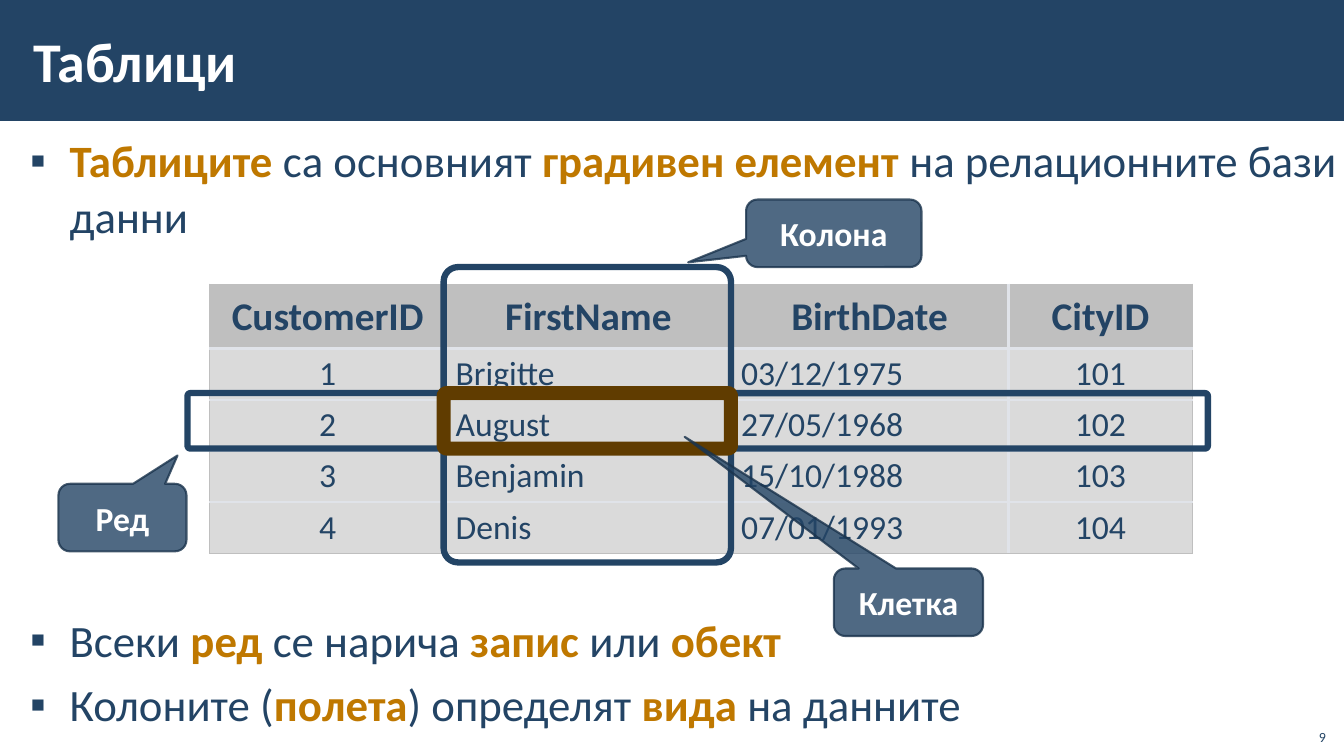
from dataclasses import dataclass

import pptx
import pptx.dml.color
import pptx.enum.shapes
import pptx.enum.text
import pptx.oxml.ns
import pptx.util
from lxml import etree

Inches, Pt = pptx.util.Inches, pptx.util.Pt
MSO_SHAPE = pptx.enum.shapes.MSO_SHAPE
PP_ALIGN = pptx.enum.text.PP_ALIGN
MSO_ANCHOR = pptx.enum.text.MSO_ANCHOR
RGB = pptx.dml.color.RGBColor.from_string
qn = pptx.oxml.ns.qn


@dataclass
class Theme:
    font: str = "Calibri"
    navy: str = "234465"
    accent: str = "BF7800"
    white: str = "FFFFFF"
    head_fill: str = "808080"
    body_fill: str = "464848"
    grid: str = "E0E3E9"
    edge: str = "BFBFBF"
    callout_line: str = "1A334C"
    cell_frame: str = "603C00"
    title: int = 40
    body: int = 32
    table_head: int = 28
    label: int = 24
    number: int = 10


def style(p, size, color, bold=False, align=None):
    p.alignment = align
    for r in p.runs:
        r.font.name, r.font.size, r.font.bold = theme.font, Pt(size), bold
        r.font.color.rgb = RGB(color)


def set_alpha(element, percent):
    for clr in element.findall(".//" + qn("a:srgbClr")):
        etree.SubElement(clr, qn("a:alpha"), val=str(percent * 1000))


theme = Theme()
prs = pptx.Presentation()
prs.slide_width, prs.slide_height = Inches(13.33), Inches(7.5)
s = prs.slides.add_slide(prs.slide_layouts[1])

# Title band, sent behind the placeholders
band = s.shapes.add_shape(MSO_SHAPE.RECTANGLE, 0, 0, prs.slide_width, Inches(1.2))
band.shadow.inherit = False
band.fill.solid()
band.fill.fore_color.rgb = RGB(theme.navy)
band.line.fill.background()
s.shapes.element.insert(2, band.element)

# Title and body placeholders
title, body = s.shapes.title, s.placeholders[1]
for sp, box, anchor in (
    (title, (0.21, 0.11, 11.23, 0.97), MSO_ANCHOR.MIDDLE),
    (body, (0.18, 1.25, 13.92, 6.25), MSO_ANCHOR.TOP),
):
    sp.left, sp.top, sp.width, sp.height = map(Inches, box)
    tf = sp.text_frame
    tf.auto_size = pptx.enum.text.MSO_AUTO_SIZE.NONE
    tf.word_wrap = True
    tf.vertical_anchor = anchor
    tf.margin_left = tf.margin_right = Inches(0.12)
    tf.margin_top = tf.margin_bottom = Inches(0.04)
title.text_frame.text = "Таблици"
style(title.text_frame.paragraphs[0], theme.title, theme.white, True, PP_ALIGN.LEFT)

# Bullets: * marks the highlighted pieces; the second one clears the table
bullets = [
    ("*Таблиците *са основният *градивен елемент *на релационните бази данни", 0, 6),
    ("Всеки *ред *се нарича *запис *или *обект", 255.9, 4),
    ("Колоните (*полета*) определят *вида *на данните", 2, 6),
]
tf = body.text_frame
for i, (text, before, after) in enumerate(bullets):
    p = tf.paragraphs[0] if i == 0 else tf.add_paragraph()
    pPr = p._p.get_or_add_pPr()
    pPr.set("marL", str(Inches(0.39)))
    pPr.set("indent", str(-Inches(0.39)))
    bu_clr = etree.SubElement(pPr, qn("a:buClr"))
    etree.SubElement(bu_clr, qn("a:srgbClr"), val=theme.navy)
    etree.SubElement(pPr, qn("a:buChar"), char="▪")
    p.line_spacing = 1.05
    p.space_before, p.space_after = Pt(before), Pt(after)
    pieces = text.split("*")
    for piece in pieces:
        p.add_run().text = piece
    style(p, theme.body, theme.navy, align=PP_ALIGN.LEFT)
    for r in p.runs[1::2]:
        r.font.bold = True
        r.font.color.rgb = RGB(theme.accent)
    if not pieces[0]:
        p._p.remove(p.runs[0]._r)

# Customer table
rows = [
    ("CustomerID", "FirstName", "BirthDate", "CityID"),
    ("1", "Brigitte", "03/12/1975", "101"),
    ("2", "August", "27/05/1968", "102"),
    ("3", "Benjamin", "15/10/1988", "103"),
    ("4", "Denis", "07/01/1993", "104"),
]
col_widths = (2.34, 2.83, 2.75, 1.83)
last_row, last_col = len(rows) - 1, len(col_widths) - 1
table = s.shapes.add_table(len(rows), len(col_widths), Inches(2.08), Inches(2.82),
                           Inches(9.76), Inches(2.64)).table
table.first_row = table.horz_banding = False
for col, width in zip(table.columns, col_widths):
    col.width = Inches(width)
for i, values in enumerate(rows):
    head = i == 0
    table.rows[i].height = Inches(0.64 if head else 0.5)
    for j, value in enumerate(values):
        cell = table.cell(i, j)
        cell.text = value
        cell.vertical_anchor = MSO_ANCHOR.MIDDLE
        cell.margin_left = cell.margin_right = Inches(0.17 if head else 0.1)
        cell.margin_top = cell.margin_bottom = Inches(0.05)
        p = cell.text_frame.paragraphs[0]
        centred = head or j in (0, last_col)
        style(p, theme.table_head if head else theme.label, theme.navy, head,
              PP_ALIGN.CENTER if centred else PP_ALIGN.LEFT)
        if head:
            p.line_spacing = 0.95
        cell.fill.solid()
        cell.fill.fore_color.rgb = RGB(theme.head_fill if head else theme.body_fill)
        tcPr = cell._tc.get_or_add_tcPr()
        set_alpha(tcPr, 50 if head else 20)
        # Thin outer edge, thicker inner grid
        sides = (("L", j == 0), ("R", j == last_col), ("T", head), ("B", i == last_row))
        for k, (side, outer) in enumerate(sides):
            ln = etree.Element(qn("a:ln" + side), w=str(Pt(1 if outer else 2.25)))
            fill = etree.SubElement(ln, qn("a:solidFill"))
            etree.SubElement(fill, qn("a:srgbClr"), val=theme.edge if outer else theme.grid)
            tcPr.insert(k, ln)

# Frames and callouts, from back to front
FRAME, CALLOUT = MSO_SHAPE.ROUNDED_RECTANGLE, MSO_SHAPE.ROUNDED_RECTANGULAR_CALLOUT
frame_adj = (0.05,)
marks = [
    (CALLOUT, (0.58, 4.8, 1.27, 0.67), (0.43, -0.92, 0.17), theme.callout_line, 1.5, "Ред"),
    (FRAME, (1.86, 3.9, 10.12, 0.55), frame_adj, theme.navy, 4.5, ""),
    (FRAME, (4.4, 2.65, 2.85, 2.93), frame_adj, theme.navy, 4.5, ""),
    (CALLOUT, (7.4, 1.98, 1.74, 0.67), (-0.83, 0.43, 0.17), theme.callout_line, 1.5, "Колона"),
    (FRAME, (4.4, 3.9, 2.85, 0.55), frame_adj, theme.cell_frame, 10, ""),
    (CALLOUT, (8.27, 5.64, 1.48, 0.67), (-1.5, -2.45, 0.17), theme.callout_line, 1.5, "Клетка"),
]
for kind, box, adjustments, line, width, label in marks:
    sp = s.shapes.add_shape(kind, *map(Inches, box))
    sp.shadow.inherit = False
    for i, value in enumerate(adjustments):
        sp.adjustments[i] = value
    sp.line.color.rgb = RGB(line)
    sp.line.width = Pt(width)
    if not label:
        sp.fill.background()
        continue
    sp.fill.solid()
    sp.fill.fore_color.rgb = RGB(theme.navy)
    set_alpha(sp.element.spPr, 80)
    tf = sp.text_frame
    tf.text = label
    tf.vertical_anchor = MSO_ANCHOR.MIDDLE
    style(tf.paragraphs[0], theme.label, theme.white, True, PP_ALIGN.CENTER)

# Slide number
tf = s.shapes.add_textbox(Inches(12.85), Inches(7.12), Inches(0.4), Inches(0.32)).text_frame
tf.word_wrap = True
tf.vertical_anchor = MSO_ANCHOR.BOTTOM
tf.text = "9"
style(tf.paragraphs[0], theme.number, theme.navy, align=PP_ALIGN.RIGHT)

prs.save("out.pptx")
